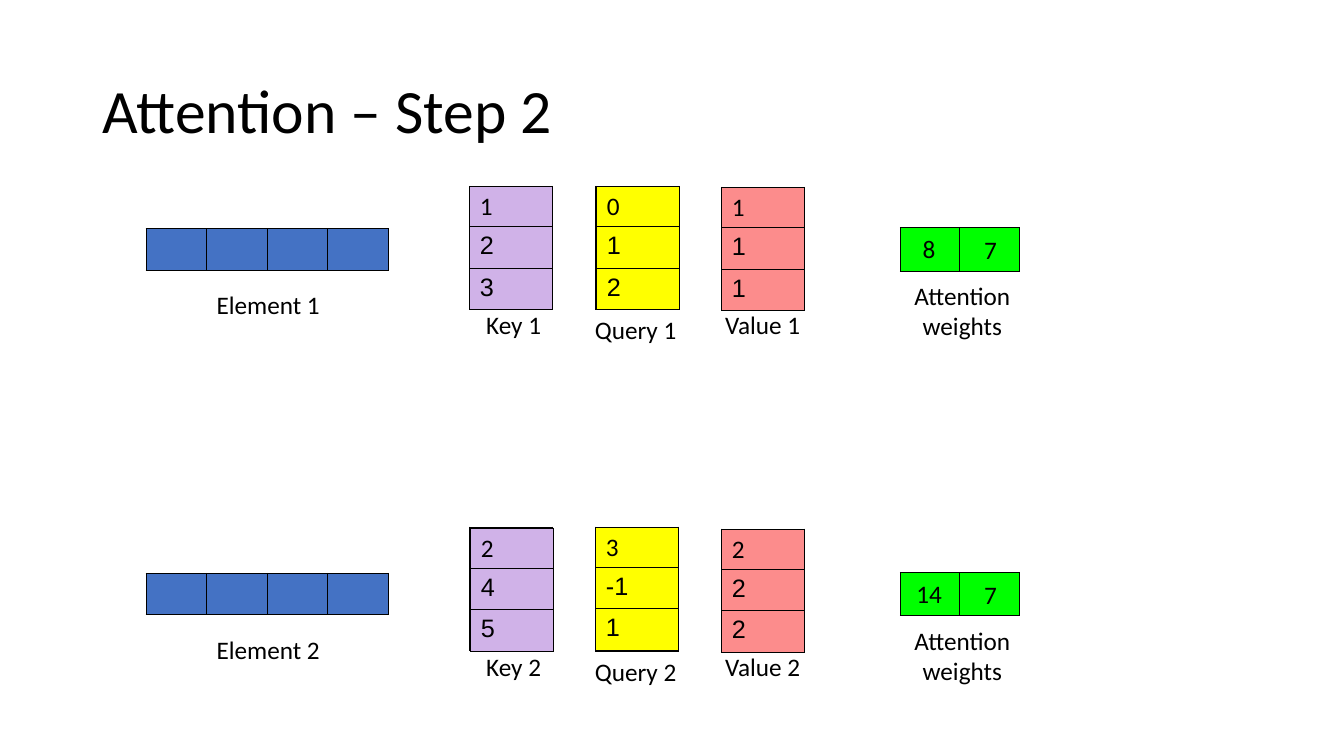
from lxml import etree
from pptx import Presentation
from pptx.dml.color import RGBColor
from pptx.enum.text import MSO_ANCHOR, PP_ALIGN
from pptx.oxml.ns import qn
from pptx.util import Inches, Pt

LEFT, CENTER = PP_ALIGN.LEFT, PP_ALIGN.CENTER
TOP, MIDDLE = MSO_ANCHOR.TOP, MSO_ANCHOR.MIDDLE
BLACK, BLUE, GREEN = "000000", "4472C4", "00FF00"
PURPLE, YELLOW, RED = "D0B2E8", "FFFF00", "FC8C8C"


def color(code):
    return RGBColor.from_string(code)


class Board:
    font = "Calibri"
    size = 18
    frame = 3.28

    def __init__(self, slide):
        self.slide = slide

    def style(self, run, font=None, size=None):
        look = {"name": font or self.font, "size": Pt(size or self.size)}
        for key, value in look.items():
            setattr(run.font, key, value)
        run.font.color.rgb = color(BLACK)

    def label(self, text, x, y, w, h, size=None, align=CENTER, anchor=TOP):
        box = self.slide.shapes.add_textbox(*map(Inches, (x, y, w, h)))
        frame = box.text_frame
        for key, value in {"word_wrap": True, "vertical_anchor": anchor}.items():
            setattr(frame, key, value)
        line = frame.paragraphs[0]
        line.alignment = align
        run = line.add_run()
        run.text = text
        self.style(run, size=size)
        return line

    def border(self, cell):
        props = cell._tc.get_or_add_tcPr()
        for spot, side in enumerate(("lnL", "lnR", "lnT", "lnB")):
            edge = etree.Element(qn("a:" + side), w=str(Pt(1)))
            fill = etree.SubElement(edge, qn("a:solidFill"))
            etree.SubElement(fill, qn("a:srgbClr"), val=BLACK)
            props.insert(spot, edge)

    def table(self, x, y, widths, heights, fill, values=()):
        spot = map(Inches, (x, y, self.frame, self.frame))
        shape = self.slide.shapes.add_table(len(heights), len(widths), *spot)
        grid = shape.table
        for key in ("first_row", "horz_banding"):
            setattr(grid, key, False)
        for col, width in zip(grid.columns, widths):
            col.width = Inches(width)
        for row, height in zip(grid.rows, heights):
            row.height = Inches(height)
        for key in ("width", "height"):
            setattr(shape, key, Inches(self.frame))
        for cell in grid.iter_cells():
            cell.fill.solid()
            cell.fill.fore_color.rgb = color(fill)
            self.border(cell)
        for i, value in enumerate(values):
            run = grid.cell(i, 0).text_frame.paragraphs[0].add_run()
            run.text = value
            self.style(run, font="Arial" if i else None)

    def vector(self, x, y, fill, values):
        self.table(x, y, [0.82], [0.25, 0.41, 0.41], fill, values)

    def element(self, name, drop):
        self.table(1.45, 2.27 + drop, [0.6] * 4, [0.41], BLUE)
        self.label(name, 1.99, 2.82 + drop, 1.34, 0.4)

    def weights(self, values, drop):
        self.table(8.93, 2.26 + drop, [0.59] * 2, [0.43], GREEN)
        for i, value in enumerate(values):
            self.label(value, 8.93 + 0.61 * i, 2.27 + 0.01 * i + drop, 0.57, 0.41)
        self.label("Attention weights", 8.93, 2.73 + drop, 1.23, 0.71)


KEYS = [("1", "2", "3"), ("2", "4", "5")]
QUERIES = [("0", "1", "2"), ("3", "-1", "1")]
VALUES = [("1", "1", "1"), ("2", "2", "2")]
SCORES = [("8", "7"), ("14", "7")]
LABELS = [("Key", 4.48, 3.02), ("Query", 5.69, 3.07), ("Value", 6.95, 3.02)]
VECTORS = [
    (5.91, 5.24, YELLOW, QUERIES[1]),
    (7.16, 1.86, RED, VALUES[0]),
    (5.91, 1.85, YELLOW, QUERIES[0]),
    (4.66, 5.23, PURPLE, KEYS[1]),
    (5.91, 5.23, YELLOW, QUERIES[1]),
    (7.16, 5.25, RED, VALUES[1]),
    (4.66, 1.85, PURPLE, KEYS[0]),
    (5.92, 1.85, YELLOW, QUERIES[0]),
    (4.67, 5.24, PURPLE, KEYS[1]),
]


def main():
    deck = Presentation()
    deck.slide_width, deck.slide_height = Inches(13.33), Inches(7.5)
    board = Board(deck.slides.add_slide(deck.slide_layouts[6]))
    title = board.label("Attention – Step 2", 0.92, 0.4, 11.5, 1.45, 44, LEFT, MIDDLE)
    title.line_spacing = 0.9
    for vector in VECTORS:
        board.vector(*vector)
    for i, scores in enumerate(SCORES):
        drop = 3.42 * i
        board.element(f"Element {i + 1}", drop)
        for name, x, y in LABELS:
            board.label(f"{name} {i + 1}", x, y + 3.39 * i, 1.23, 0.4)
        board.weights(scores, drop)
    deck.save("out.pptx")


if __name__ == "__main__":
    main()
